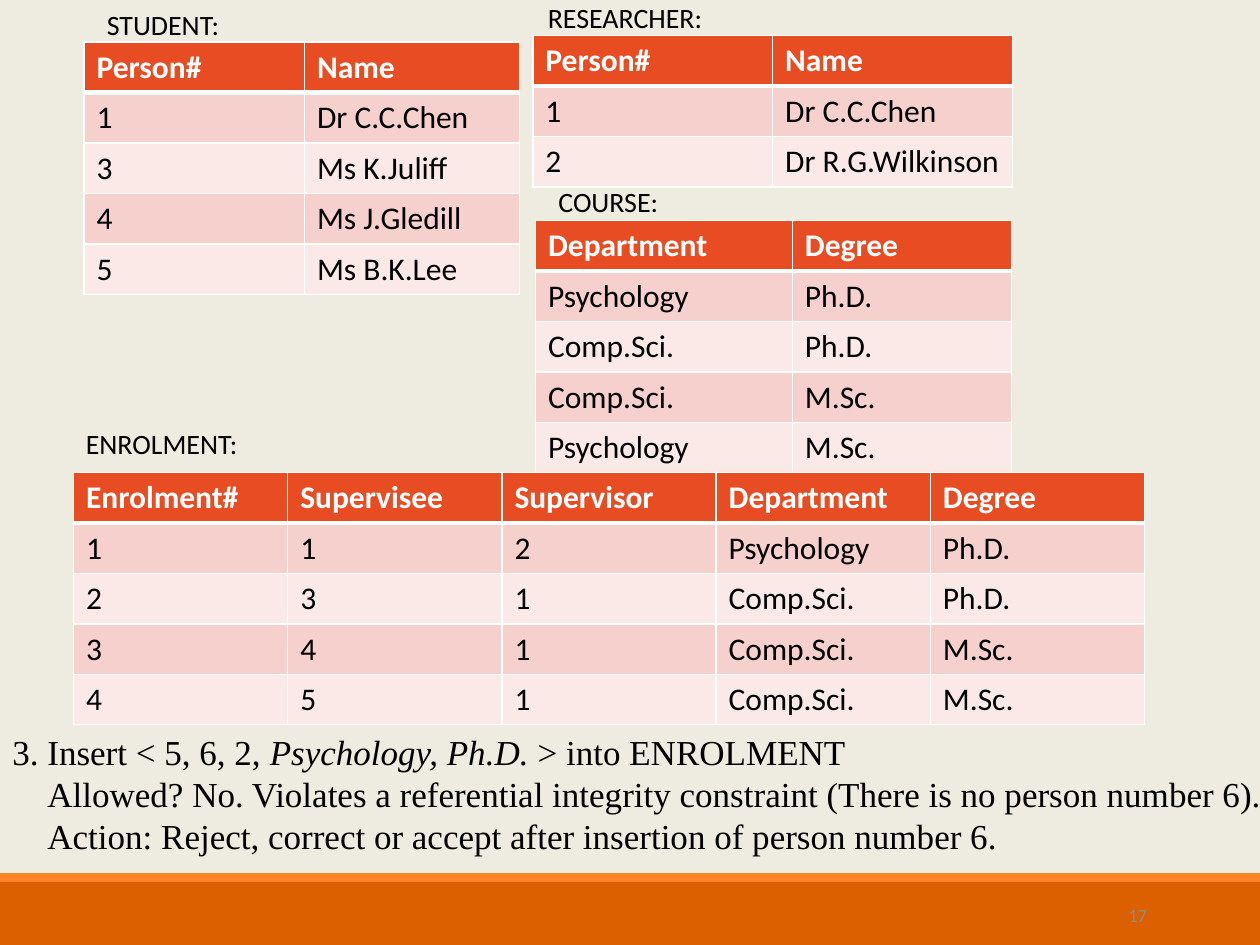
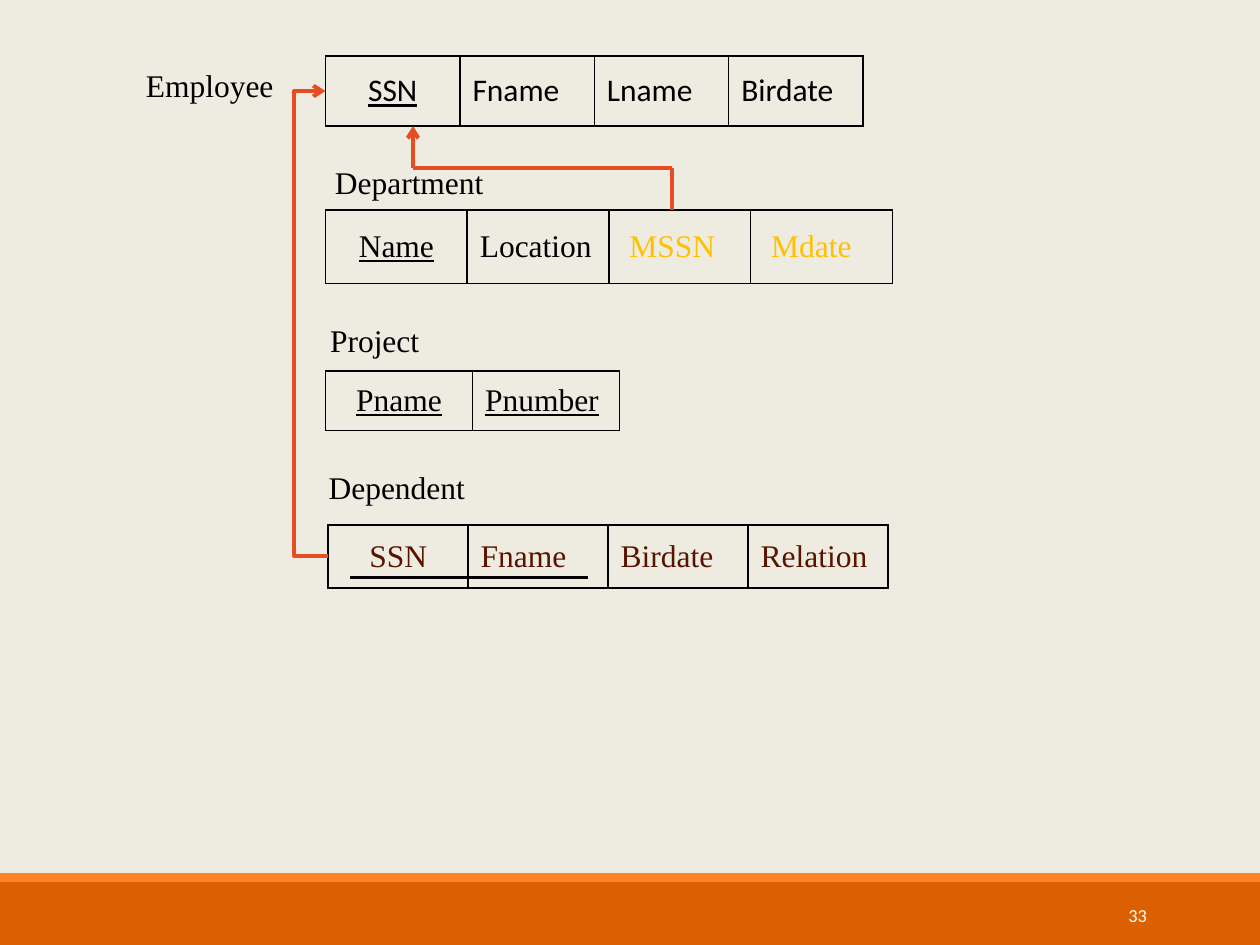
from lxml import etree
from pptx import Presentation
from pptx.dml.color import RGBColor
from pptx.enum.shapes import MSO_CONNECTOR, MSO_SHAPE
from pptx.enum.text import MSO_ANCHOR, PP_ALIGN
from pptx.oxml.ns import qn
from pptx.util import Pt

STRAIGHT, ELBOW = MSO_CONNECTOR.STRAIGHT, MSO_CONNECTOR.ELBOW
RECTANGLE = MSO_SHAPE.RECTANGLE
TOP, MIDDLE = MSO_ANCHOR.TOP, MSO_ANCHOR.MIDDLE
LEFT, CENTER, RIGHT, JUSTIFY = (
    PP_ALIGN.LEFT, PP_ALIGN.CENTER, PP_ALIGN.RIGHT, PP_ALIGN.JUSTIFY)

CREAM = RGBColor(0xEE, 0xEC, 0xE1)
ORANGE = RGBColor(0xDC, 0x5F, 0x00)
LIGHT_ORANGE = RGBColor(0xFF, 0x84, 0x27)
RED = RGBColor(0xE8, 0x4C, 0x22)
PINK = RGBColor(0xF6, 0xD0, 0xCD)
PALE_PINK = RGBColor(0xFB, 0xE9, 0xE8)
GOLD = RGBColor(0xFF, 0xC0, 0x00)
BROWN = RGBColor(0x59, 0x13, 0x00)
GREY = RGBColor(0x8C, 0x8C, 0x8C)
WHITE = RGBColor(0xFF, 0xFF, 0xFF)
BLACK = RGBColor(0x00, 0x00, 0x00)

SANS, SERIF = "Calibri", "Times New Roman"
WIDTH, HEIGHT = 720, 540
ROW_HEIGHT = 28.8


def points(*lengths):
    """Turn numbers into point lengths."""
    return [Pt(length) for length in lengths]


def style_span(span, size, font, color, bold=False, underline=False):
    """Format one run."""
    span.font.size = Pt(size)
    span.font.name = font
    span.font.color.rgb = color
    span.font.bold = bold
    span.font.underline = underline


def border_cell(cell, color, top=1, bottom=1):
    """Give a cell four solid borders."""
    properties = cell._tc.get_or_add_tcPr()
    for side, width in (("L", 1), ("R", 1), ("T", top), ("B", bottom)):
        line = etree.SubElement(properties, qn(f"a:ln{side}"), w=str(Pt(width)))
        fill = etree.SubElement(line, qn("a:solidFill"))
        etree.SubElement(fill, qn("a:srgbClr"), val=str(color))


class Slides:
    """Holds the deck, its style and the current page."""

    def __init__(self):
        """Start an empty deck."""
        self.deck = Presentation()
        self.deck.slide_width, self.deck.slide_height = points(WIDTH, HEIGHT)
        self.page = None

    def start_page(self, number, number_color):
        """Add a page with background, footer bands and page number."""
        self.page = self.deck.slides.add_slide(self.deck.slide_layouts[6])
        self.page.background.fill.solid()
        self.page.background.fill.fore_color.rgb = CREAM
        self.band(504, 36, ORANGE)
        self.band(499, 5, LIGHT_ORANGE)
        self.label(number, 584.5, 508.5, 78, 28.75, 10.5, SANS,
                   number_color, RIGHT, MIDDLE)

    def band(self, top, height, color):
        """Draw a full-width footer band."""
        shape = self.page.shapes.add_shape(
            RECTANGLE, *points(0, top, WIDTH, height))
        shape.shadow.inherit = False
        shape.fill.solid()
        shape.fill.fore_color.rgb = color
        shape.line.fill.background()

    def label(self, text, left, top, width, height, size, font,
              color=BLACK, align=LEFT, anchor=TOP):
        """Add a text box in one style and return its text frame."""
        box = self.page.shapes.add_textbox(*points(left, top, width, height))
        frame = box.text_frame
        frame.word_wrap = True
        frame.vertical_anchor = anchor
        frame.text = text
        for para in frame.paragraphs:
            para.alignment = align
            for span in para.runs:
                style_span(span, size, font, color)
        return frame

    def grid(self, left, top, widths, row_height, row_count):
        """Add a bare table with the given column widths."""
        table = self.page.shapes.add_table(
            row_count, len(widths),
            *points(left, top, sum(widths), row_height * row_count)).table
        table.horz_banding = False
        for column, width in zip(table.columns, widths):
            column.width = Pt(width)
        return table

    def data_table(self, left, top, widths, rows):
        """Add a banded table with a red header row."""
        table = self.grid(left, top, widths, ROW_HEIGHT, len(rows))
        for row_index, row in enumerate(rows):
            header = row_index == 0
            fill = RED if header else (PALE_PINK, PINK)[row_index % 2]
            for column_index, text in enumerate(row):
                cell = table.cell(row_index, column_index)
                border_cell(cell, WHITE, top=3 if row_index == 1 else 1,
                            bottom=3 if header else 1)
                cell.fill.solid()
                cell.fill.fore_color.rgb = fill
                cell.text = text
                style_span(cell.text_frame.paragraphs[0].runs[0], 18, SANS,
                           WHITE if header else BLACK, bold=header)

    def schema(self, left, top, column_width, height, names, keys=(),
               font=SERIF, color=BLACK, foreign=()):
        """Add a one-row relation; keys are underlined, foreign ones gold."""
        table = self.grid(left, top, [column_width] * len(names), height, 1)
        table.first_row = False
        for index, name in enumerate(names):
            cell = table.cell(0, index)
            border_cell(cell, BLACK)
            cell.fill.background()
            cell.vertical_anchor = MIDDLE
            cell.text = name
            para = cell.text_frame.paragraphs[0]
            para.alignment = LEFT if index else CENTER
            if name in foreign:
                para._p.get_or_add_pPr().set("marL", str(Pt(4.5)))
            style_span(para.runs[0], 18, font,
                       GOLD if name in foreign else color,
                       underline=name in keys)

    def line(self, start, end, color=RED, width=2.25, arrow=False,
             kind=STRAIGHT):
        """Draw a connector and return it."""
        connector = self.page.shapes.add_connector(kind, *points(*start, *end))
        connector.line.color.rgb = color
        connector.line.width = Pt(width)
        if arrow:
            etree.SubElement(connector.line._get_or_add_ln(),
                             qn("a:tailEnd"), type="arrow")
        etree.SubElement(connector._element.spPr, qn("a:effectLst"))
        return connector

    def loop_arrow(self, left, top, right, bottom, bend):
        """Draw an elbow arrow from bottom right to top left, out to bend."""
        connector = self.line((left, top), (right, bottom), arrow=True,
                              kind=ELBOW)
        properties = connector._element.spPr
        properties.find(qn("a:xfrm")).set("rot", str(180 * 60000))
        geometry = properties.find(qn("a:prstGeom"))
        adjustments = geometry.find(qn("a:avLst"))
        if adjustments is None:
            adjustments = etree.SubElement(geometry, qn("a:avLst"))
        ratio = round((right - bend) / (right - left) * 100000)
        etree.SubElement(adjustments, qn("a:gd"), name="adj1",
                         fmla=f"val {ratio}")


def build_enrolment(slides):
    """Build the page on inserting into ENROLMENT."""
    slides.start_page("17", GREY)
    slides.data_table(304.5, 20.25, [137, 137], [
        ("Person#", "Name"), ("1", "Dr C.C.Chen"), ("2", "Dr R.G.Wilkinson")])
    slides.data_table(48, 24, [126, 123], [
        ("Person#", "Name"), ("1", "Dr C.C.Chen"), ("3", "Ms K.Juliff"),
        ("4", "Ms J.Gledill"), ("5", "Ms B.K.Lee")])
    slides.data_table(306, 126, [146.75, 125.25], [
        ("Department", "Degree"), ("Psychology", "Ph.D."),
        ("Comp.Sci.", "Ph.D."), ("Comp.Sci.", "M.Sc."),
        ("Psychology", "M.Sc.")])
    for text, left, top in (("STUDENT:", 54, 0.5), ("RESEARCHER:", 306, -3.5),
                            ("COURSE:", 312, 102), ("ENROLMENT:", 42, 240)):
        slides.label(text, left, top, 216, 26.65, 16, SANS)
    slides.data_table(42, 270, [122.4] * 5, [
        ("Enrolment#", "Supervisee", "Supervisor", "Department", "Degree"),
        ("1", "1", "2", "Psychology", "Ph.D."),
        ("2", "3", "1", "Comp.Sci.", "Ph.D."),
        ("3", "4", "1", "Comp.Sci.", "M.Sc."),
        ("4", "5", "1", "Comp.Sci.", "M.Sc.")])

    frame = slides.label(
        "3. Insert < 5, 6, 2, \n"
        "Allowed? No. Violates a referential integrity constraint "
        "(There is no person number 6).\n"
        "Action: Reject, correct or accept after insertion of person number 6.",
        0, 414, 786, 80, 20, SERIF, align=JUSTIFY)
    insert, *answers = frame.paragraphs
    for text, italic in (("Psychology, Ph.D. ", True),
                         ("> into ENROLMENT", False)):
        span = insert.add_run()
        span.text = text
        style_span(span, 20, SERIF, BLACK)
        span.font.italic = italic
    for para in answers:
        para._p.get_or_add_pPr().set("marL", str(Pt(20)))


def build_company(slides):
    """Build the page of relations and their foreign keys."""
    slides.start_page("33", WHITE)
    slides.schema(186, 32, 76.8, 40, ["SSN", "Fname", "Lname", "Birdate"],
                  keys=["SSN"], font=SANS)
    slides.schema(186, 120, 81, 42, ["Name", "Location", "MSSN", "Mdate"],
                  keys=["Name"], foreign=["MSSN", "Mdate"])
    slides.schema(186, 212, 84, 34, ["Pname", "Pnumber"],
                  keys=["Pname", "Pnumber"])
    slides.schema(187.5, 300, 80, 36, ["SSN", "Fname", "Birdate", "Relation"],
                  color=BROWN)
    for text, left, top in (("Employee", 76.3, 34), ("Department", 184.3, 89.5),
                            ("Project", 181.5, 180), ("Dependent", 180.7, 264)):
        slides.label(text, left, top, 112, 29, 18, SERIF)
    slides.line((336, 330), (200, 330), BLACK, 1.5)
    slides.line((236, 96), (236, 72), arrow=True)
    slides.line((236, 96), (384, 96))
    slides.line((384, 96), (384, 120))
    slides.loop_arrow(186, 52, 187.5, 317.5, 168)


def main():
    """Build and save the deck."""
    slides = Slides()
    build_enrolment(slides)
    build_company(slides)
    slides.deck.save("out.pptx")


main()
